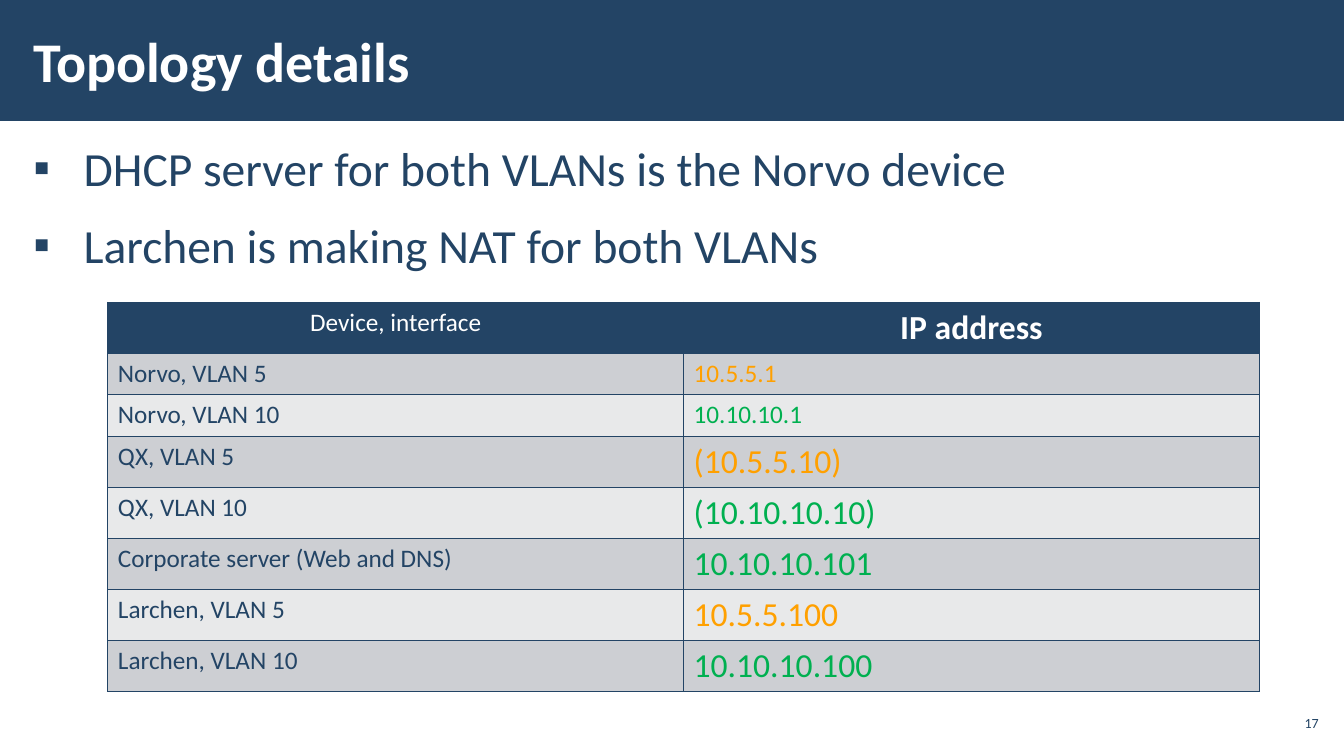
from dataclasses import dataclass

from lxml.etree import SubElement
from pptx import Presentation
from pptx.dml.color import RGBColor
from pptx.enum.shapes import MSO_SHAPE
from pptx.enum.text import MSO_ANCHOR, MSO_AUTO_SIZE, PP_ALIGN
from pptx.oxml.ns import qn
from pptx.util import Inches, Pt

NAVY = "234465"
WHITE = "FFFFFF"
VLAN_5 = "FFA000"
VLAN_10 = "00B050"
BANDS = ("CDCFD3", "E8E9EA")


@dataclass
class Interface:
    device: str
    address: str
    color: str
    size: int = 24


INTERFACES = [
    Interface("Norvo, VLAN 5", "10.5.5.1", VLAN_5, 18),
    Interface("Norvo, VLAN 10", "10.10.10.1", VLAN_10, 18),
    Interface("QX, VLAN 5", "(10.5.5.10)", VLAN_5),
    Interface("QX, VLAN 10", "(10.10.10.10)", VLAN_10),
    Interface("Corporate server (Web and DNS)", "10.10.10.101", VLAN_10),
    Interface("Larchen, VLAN 5", "10.5.5.100", VLAN_5),
    Interface("Larchen, VLAN 10", "10.10.10.100", VLAN_10),
]
BULLETS = [
    "DHCP server for both VLANs is the Norvo device",
    "Larchen is making NAT for both VLANs",
]


def set_fill(target, color: str) -> None:
    target.fill.solid()
    target.fill.fore_color.rgb = RGBColor.from_string(color)


def write(paragraph, text: str, *, size: int, color: str = NAVY,
          bold: bool = False, align=PP_ALIGN.LEFT) -> None:
    paragraph.alignment = align
    run = paragraph.add_run()
    run.text = text
    run.font.name = "Calibri"
    run.font.size = Pt(size)
    run.font.bold = bold
    run.font.color.rgb = RGBColor.from_string(color)


def set_frame(shape, *, side: float = 0.12, anchor=MSO_ANCHOR.TOP):
    frame = shape.text_frame
    frame.word_wrap = True
    frame.auto_size = MSO_AUTO_SIZE.NONE
    frame.vertical_anchor = anchor
    frame.margin_left = frame.margin_right = Inches(side)
    frame.margin_top = frame.margin_bottom = Inches(0.04)
    return frame


def add_bullet(paragraph) -> None:
    paragraph.line_spacing = 1.05
    paragraph.space_before = paragraph.space_after = Pt(6)
    properties = paragraph._p.get_or_add_pPr()
    properties.set("marL", str(Inches(0.5)))
    properties.set("indent", str(-Inches(0.5)))
    SubElement(properties, qn("a:buFont"), typeface="Arial")
    SubElement(properties, qn("a:buChar"), char="▪")


def add_borders(cell) -> None:
    properties = cell._tc.get_or_add_tcPr()
    for side in ("lnL", "lnR", "lnT", "lnB"):
        line = SubElement(properties, qn(f"a:{side}"), w=str(Pt(1)))
        fill = SubElement(line, qn("a:solidFill"))
        SubElement(fill, qn("a:srgbClr"), val=NAVY)


def fill_row(row, fill: str, formats: list[dict]) -> None:
    row.height = Inches(0.41)
    for cell, text_format in zip(row.cells, formats):
        add_borders(cell)
        set_fill(cell, fill)
        write(cell.text_frame.paragraphs[0], **text_format)


def add_interface_table(slide) -> None:
    table = slide.shapes.add_table(
        len(INTERFACES) + 1, 2, Inches(1.07), Inches(3), Inches(11.42), Inches(3.28)
    ).table
    header = {"color": WHITE, "align": PP_ALIGN.CENTER}
    fill_row(table.rows[0], NAVY, [
        {"text": "Device, interface", "size": 18, **header},
        {"text": "IP address", "size": 24, "bold": True, **header},
    ])
    for index, interface in enumerate(INTERFACES):
        fill_row(table.rows[index + 1], BANDS[index % 2], [
            {"text": interface.device, "size": 18},
            {"text": interface.address, "size": interface.size, "color": interface.color},
        ])


presentation = Presentation()
presentation.slide_width = Inches(13.33)
presentation.slide_height = Inches(7.5)
slide = presentation.slides.add_slide(presentation.slide_layouts[5])

title = slide.shapes.title
title.left, title.top = Inches(0.21), Inches(0.11)
title.width, title.height = Inches(10.4), Inches(0.97)
title_frame = set_frame(title, anchor=MSO_ANCHOR.MIDDLE)
write(title_frame.paragraphs[0], "Topology details", size=40, color=WHITE, bold=True)

header_band = slide.shapes.add_shape(
    MSO_SHAPE.RECTANGLE, 0, 0, presentation.slide_width, Inches(1.2)
)
header_band.shadow.inherit = False
set_fill(header_band, NAVY)
header_band.line.fill.background()
title.element.addprevious(header_band.element)

body = slide.shapes.add_textbox(Inches(0.21), Inches(1.31), Inches(12.92), Inches(5.69))
body_frame = set_frame(body)
for index, text in enumerate(BULLETS):
    paragraph = body_frame.add_paragraph() if index else body_frame.paragraphs[0]
    write(paragraph, text, size=34)
    add_bullet(paragraph)

number = slide.shapes.add_textbox(Inches(12.65), Inches(7), Inches(0.47), Inches(0.34))
number_frame = set_frame(number, side=0.04, anchor=MSO_ANCHOR.MIDDLE)
write(number_frame.paragraphs[0], "17", size=10, align=PP_ALIGN.RIGHT)

add_interface_table(slide)
presentation.save("out.pptx")
